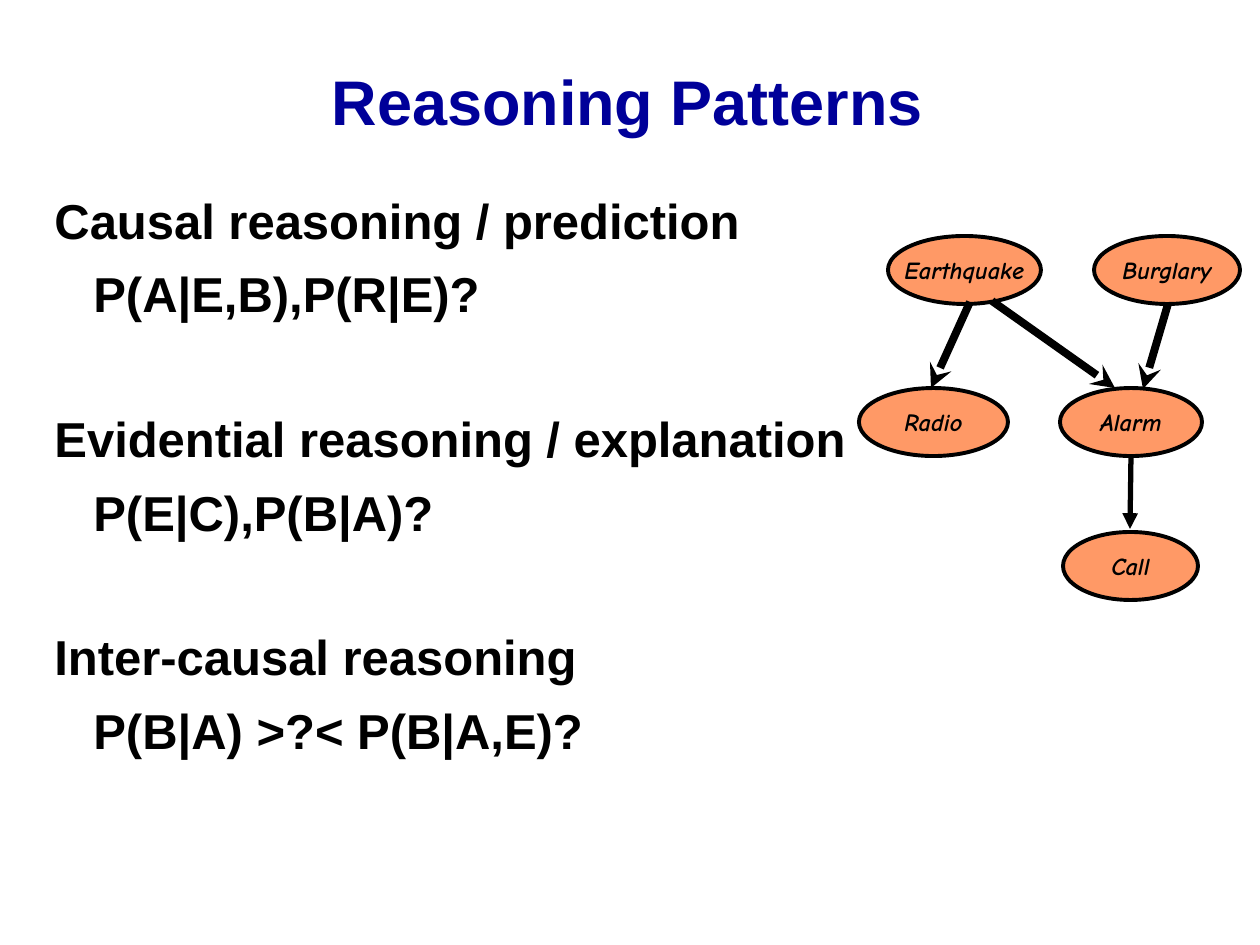
from dataclasses import dataclass

from lxml.etree import SubElement
from pptx import Presentation
from pptx.dml.color import RGBColor
from pptx.enum.shapes import MSO_CONNECTOR as CONN, MSO_SHAPE as SHAPE
from pptx.enum.text import MSO_ANCHOR as ANCHOR, PP_ALIGN as ALIGN
from pptx.oxml.ns import qn
from pptx.util import Emu, Pt

SCALE = 914400 / 126
COLORS = {"title": "000099", "ink": "000000", "node": "FF9966"}


@dataclass
class Node:
    label: str
    x: int
    y: int
    w: int
    h: int = 68


@dataclass
class Edge:
    x1: int
    y1: int
    x2: int
    y2: int
    width: float = 4.5
    head: str = "stealth"


NODES = [
    Node("Earthquake", 888, 236, 153),
    Node("Radio", 859, 388, 149),
    Node("Burglary", 1094, 236, 146),
    Node("Alarm", 1060, 388, 142),
    Node("Call", 1063, 532, 135),
]
EDGES = [
    Edge(970, 302, 931, 388),
    Edge(992, 301, 1115, 388),
    Edge(1168, 304, 1143, 389),
    Edge(1131, 457, 1130, 529, width=3, head="triangle"),
]
PATTERNS = [
    ("Causal reasoning / prediction", "P(A|E,B),P(R|E)?"),
    ("Evidential reasoning / explanation", "P(E|C),P(B|A)?"),
    ("Inter-causal reasoning", "P(B|A) >?< P(B|A,E)?"),
]


def px(n: int) -> Emu:
    return Emu(round(n * SCALE))


def rgb(name: str) -> RGBColor:
    return RGBColor.from_string(COLORS[name])


def write(p, text: str, *, size: int, font: str = "Arial", color: str = "ink",
          italic: bool = False, align=ALIGN.LEFT, before: float = 0) -> None:
    p.alignment = align
    p.space_before = Pt(before)
    r = p.add_run()
    r.text = text
    f = r.font
    f.name, f.size, f.bold, f.italic = font, Pt(size), True, italic
    f.color.rgb = rgb(color)


def add_box(s, x: int, y: int, w: int, h: int, anchor=ANCHOR.TOP):
    tf = s.shapes.add_textbox(px(x), px(y), px(w), px(h)).text_frame
    tf.word_wrap = True
    tf.vertical_anchor = anchor
    return tf


def add_patterns(s) -> None:
    tf = add_box(s, 42, 184, 1190, 700)
    for i, (heading, query) in enumerate(PATTERNS):
        p = tf.add_paragraph() if i else tf.paragraphs[0]
        write(p, heading, size=28, before=49 if i else 0)
        p = tf.add_paragraph()
        p._p.get_or_add_pPr().set("marL", str(px(39)))
        write(p, query, size=28, before=8.5)


def add_node(s, n: Node) -> None:
    sp = s.shapes.add_shape(SHAPE.OVAL, px(n.x), px(n.y), px(n.w), px(n.h))
    sp.shadow.inherit = False
    sp.fill.solid()
    sp.fill.fore_color.rgb = rgb("node")
    sp.line.color.rgb = rgb("ink")
    sp.line.width = Pt(2.25)
    tf = sp.text_frame
    tf.word_wrap = False
    tf.vertical_anchor = ANCHOR.MIDDLE
    write(tf.paragraphs[0], n.label, size=14, font="Comic Neue",
          italic=True, align=ALIGN.CENTER)


def add_edge(s, e: Edge) -> None:
    c = s.shapes.add_connector(CONN.STRAIGHT, px(e.x1), px(e.y1), px(e.x2), px(e.y2))
    c.line.color.rgb = rgb("ink")
    c.line.width = Pt(e.width)
    SubElement(c.line._get_or_add_ln(), qn("a:tailEnd"), type=e.head)
    SubElement(c._element.spPr, qn("a:effectLst"))


def main() -> None:
    prs = Presentation()
    prs.slide_width, prs.slide_height = px(1260), px(945)
    s = prs.slides.add_slide(prs.slide_layouts[6])

    # Title
    tf = add_box(s, 48, 21, 1159, 158, anchor=ANCHOR.MIDDLE)
    write(tf.paragraphs[0], "Reasoning Patterns", size=36, color="title",
          align=ALIGN.CENTER)

    # Reasoning patterns and their queries
    add_patterns(s)

    # Bayesian network
    for n in NODES:
        add_node(s, n)
    for e in EDGES:
        add_edge(s, e)

    prs.save("out.pptx")


if __name__ == "__main__":
    main()
